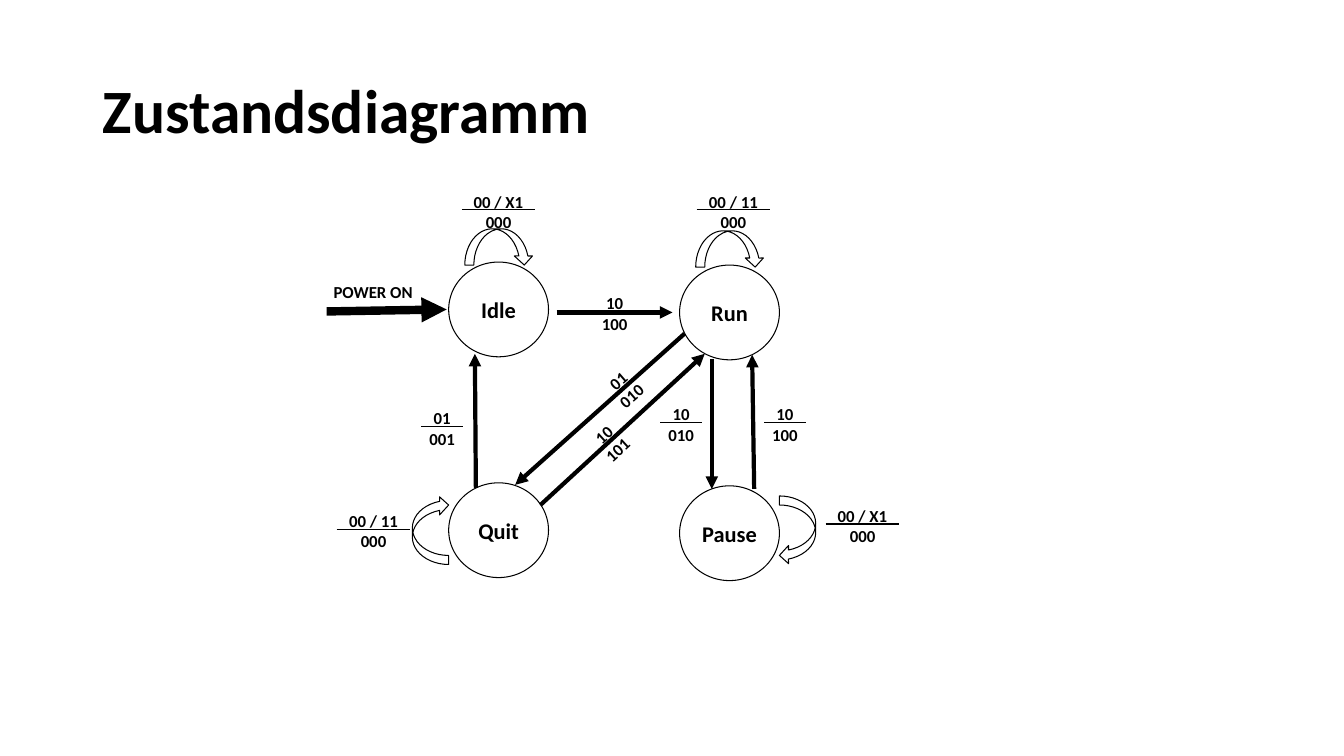
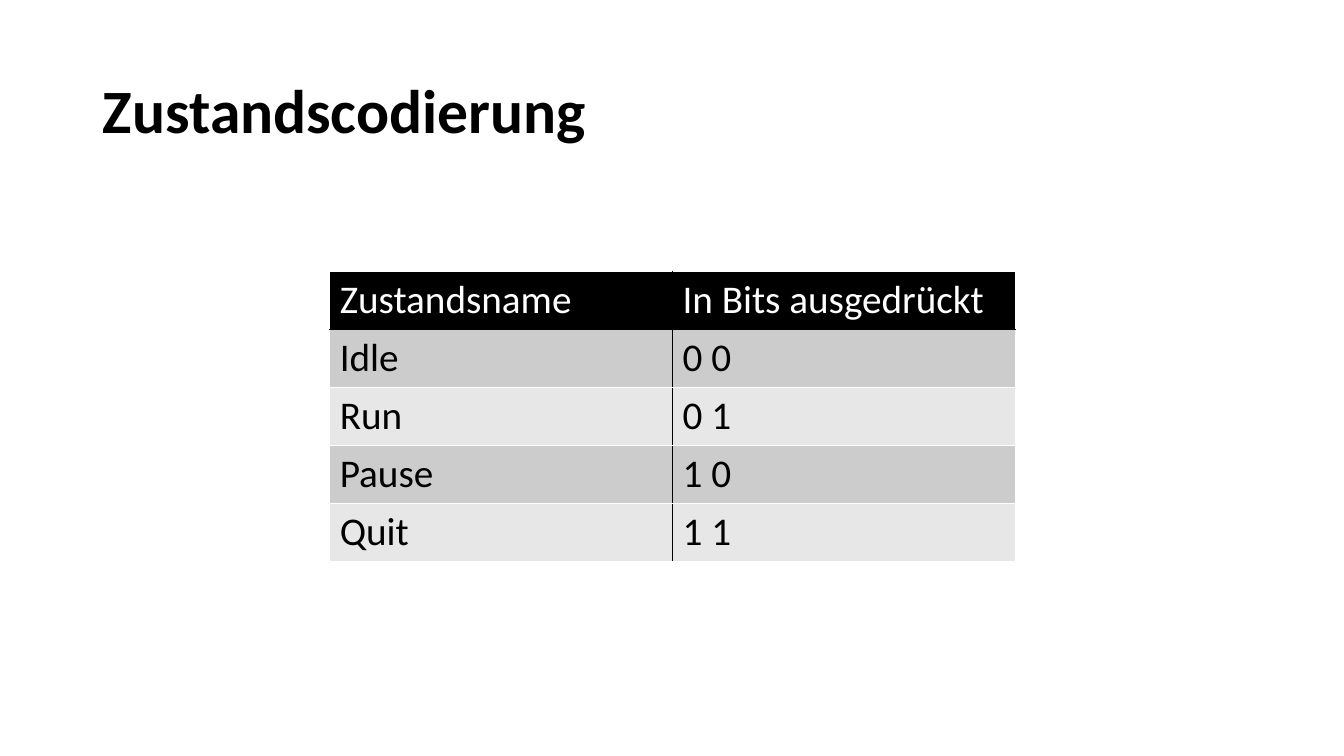
from pptx import Presentation
from pptx.dml.color import RGBColor
from pptx.enum import shapes as es, text as et
from pptx.oxml import parse_xml
from pptx.oxml.ns import nsdecls
from pptx.util import Inches, Pt

BLACK = RGBColor(0x00, 0x00, 0x00)
WHITE = RGBColor(0xFF, 0xFF, 0xFF)
DARK = RGBColor(0xCC, 0xCC, 0xCC)
LIGHT = RGBColor(0xE7, 0xE7, 0xE7)
FONT = "Calibri"
OVAL = es.MSO_SHAPE.OVAL
LOOP = es.MSO_SHAPE.CURVED_DOWN_ARROW


class Deck:
    """Holds the shared style and the current slide."""

    def __init__(self):
        self.prs = Presentation()
        self.prs.slide_width = Inches(13.33)
        self.prs.slide_height = Inches(7.5)
        self.slide = None

    def add_text(self, para, words, size, bold=True, color=BLACK):
        run = para.add_run()
        run.text = words
        font = run.font
        font.name, font.size, font.bold = FONT, Pt(size), bold
        font.color.rgb = color

    def page(self, title):
        self.slide = self.prs.slides.add_slide(self.prs.slide_layouts[5])
        head = self.slide.shapes.title
        head.left, head.top = Inches(0.92), Inches(0.4)
        head.width, head.height = Inches(11.5), Inches(1.45)
        frame = head.text_frame
        frame.vertical_anchor = et.MSO_ANCHOR.MIDDLE
        para = frame.paragraphs[0]
        para.alignment = et.PP_ALIGN.LEFT
        para.line_spacing = 0.9
        self.add_text(para, title, 44)

    def shape(self, kind, x, y, w, h, turn=0):
        item = self.slide.shapes.add_shape(
            kind, Inches(x), Inches(y), Inches(w), Inches(h))
        item.shadow.inherit = False
        item.fill.background()
        item.line.color.rgb = BLACK
        item.line.width = Pt(0.75)
        item.rotation = turn
        return item

    def state(self, name, x, y):
        frame = self.shape(OVAL, x, y, 0.99, 0.94).text_frame
        frame.margin_left = frame.margin_right = 0
        frame.vertical_anchor = et.MSO_ANCHOR.MIDDLE
        para = frame.paragraphs[0]
        para.alignment = et.PP_ALIGN.CENTER
        self.add_text(para, name, 16)

    def line(self, x1, y1, x2, y2, width, arrow=False):
        item = self.slide.shapes.add_connector(
            es.MSO_CONNECTOR.STRAIGHT,
            Inches(x1), Inches(y1), Inches(x2), Inches(y2))
        item.line.color.rgb = BLACK
        item.line.width = Pt(width)
        props = item._element.spPr
        if arrow:
            props.ln.append(parse_xml(
                f'<a:tailEnd {nsdecls("a")} type="triangle"/>'))
        props.append(parse_xml(f'<a:effectLst {nsdecls("a")}/>'))

    def label(self, rows, x, y, w, h, turn=0, align=et.PP_ALIGN.CENTER):
        box = self.slide.shapes.add_textbox(
            Inches(x), Inches(y), Inches(w), Inches(h))
        box.rotation = turn
        frame = box.text_frame
        frame.word_wrap = True
        for i, words in enumerate(rows):
            para = frame.add_paragraph() if i else frame.paragraphs[0]
            para.alignment = align
            self.add_text(para, words, 12)

    def ratio(self, top, low, x, y, w=0.61, turn=0, bar=True):
        """Input over output; on an arrow, the arrow is the bar."""
        self.label([top, low], x, y, w, 0.5, turn)
        if bar:
            self.line(x + 0.1, y + 0.23, x + w - 0.1, y + 0.23, 1)

    def edges(self, cell, **colors):
        props = cell._tc.get_or_add_tcPr()
        for side in "LRTB":
            props.append(parse_xml(
                f'<a:ln{side} {nsdecls("a")} w="{Pt(1)}"><a:solidFill>'
                f'<a:srgbClr val="{colors.get(side, WHITE)}"/>'
                f'</a:solidFill></a:ln{side}>'))

    def table(self, data, x, y, wide, high):
        rows, cols = len(data), len(data[0])
        grid = self.slide.shapes.add_table(
            rows, cols, Inches(x), Inches(y),
            Inches(wide * cols), Inches(high * rows)).table
        for r, entry in enumerate(data):
            for c, words in enumerate(entry):
                cell = grid.cell(r, c)
                # Black rules below the header and between the columns
                rules = {"L" if c else "R": BLACK}
                if r < 2:
                    rules["T" if r else "B"] = BLACK
                self.edges(cell, **rules)
                cell.fill.solid()
                cell.fill.fore_color.rgb = (
                    BLACK if r == 0 else DARK if r % 2 else LIGHT)
                cell.vertical_anchor = et.MSO_ANCHOR.MIDDLE
                self.add_text(cell.text_frame.paragraphs[0], words, 28,
                              False, BLACK if r else WHITE)


def main():
    deck = Deck()

    # State diagram
    deck.page("Zustandsdiagramm")
    for name, x, y in [("Idle", 4.45, 2.6), ("Run", 6.74, 2.63),
                       ("Quit", 4.45, 4.79), ("Pause", 6.74, 4.82)]:
        deck.state(name, x, y)

    # Loops back to the same state
    for x, y, turn in [(4.61, 2.27, 0), (6.9, 2.29, 0),
                       (3.93, 5.08, 270), (7.57, 5.08, 90)]:
        deck.shape(LOOP, x, y, 0.68, 0.36, turn)
    for top, x, y in [("00 / X1", 4.48, 1.85), ("00 / 11", 6.81, 1.85),
                      ("00 / 11", 3.24, 5.02), ("00 / X1", 8.09, 4.97)]:
        deck.ratio(top, "000", x, y, 0.93)

    # Start
    deck.line(3.24, 3.09, 4.43, 3.07, 6, True)
    deck.label(["POWER ON"], 3.21, 2.75, 1.1, 0.3, align=et.PP_ALIGN.LEFT)

    # Moves between states
    for ends in [(5.52, 3.1, 6.67, 3.1), (7.06, 3.56, 7.06, 4.85),
                 (7.48, 4.85, 7.46, 3.52), (5.36, 5.01, 6.99, 3.51),
                 (6.79, 3.31, 5.11, 4.81), (4.72, 4.84, 4.71, 3.51)]:
        deck.line(*ends, 3, True)
    for top, low, x, y in [("10", "100", 7.48, 3.96),
                           ("10", "010", 6.45, 3.96),
                           ("01", "001", 4.08, 4)]:
        deck.ratio(top, low, x, y)
    for top, low, x, y, turn in [("10", "100", 5.79, 2.86, 0),
                                 ("01", "010", 5.89, 3.6, 319),
                                 ("10", "101", 5.75, 4.14, 317.5)]:
        deck.ratio(top, low, x, y, turn=turn, bar=False)

    # State codes
    deck.page("Zustandscodierung")
    deck.table([("Zustandsname", "In Bits ausgedrückt"),
                ("Idle", "0 0"), ("Run", "0 1"),
                ("Pause", "1 0"), ("Quit", "1 1")], 3.27, 2.69, 3.4, 0.57)

    deck.prs.save("out.pptx")


if __name__ == "__main__":
    main()
